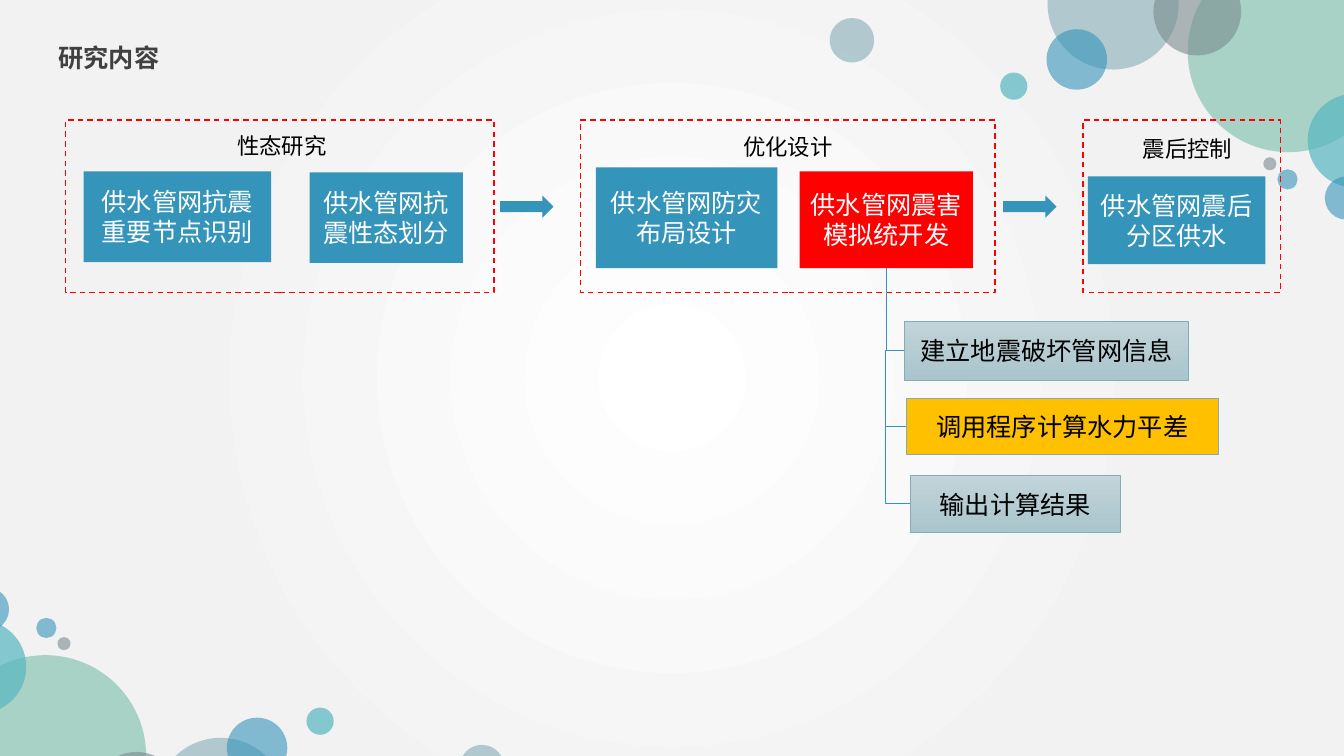
from pptx import Presentation, util as u
from pptx.dml.color import RGBColor
from pptx.enum import dml, shapes, text
from pptx.oxml import parse_xml
from pptx.oxml.ns import nsdecls, qn

PX = 9144
FONT = "Lato"
WHITE = RGBColor(0xFF, 0xFF, 0xFF)
BLACK = RGBColor(0, 0, 0)
DARK = RGBColor(0x40, 0x40, 0x40)
PALE = RGBColor(0xF2, 0xF2, 0xF2)
BLUE = RGBColor(0x34, 0x94, 0xBA)
TEAL = RGBColor(0x58, 0xB6, 0xC0)
GREEN = RGBColor(0x75, 0xBD, 0xA7)
GREY = RGBColor(0x7A, 0x8C, 0x8E)
MIST = RGBColor(0x84, 0xAC, 0xB6)
MIST_TOP = RGBColor(0xC1, 0xD4, 0xD9)
MIST_BOTTOM = RGBColor(0xAA, 0xC5, 0xCC)
RED = RGBColor(0xFF, 0, 0)
AMBER = RGBColor(0xFF, 0xC0, 0)

CIRCLES = [
    (1039, -61, 130, MIST, 60), (1178, -49, 200, GREEN, 60),
    (1144, -32, 87, GREY, 60), (1038, 29, 60, BLUE, 60),
    (1297, 93, 93, TEAL, 70), (992, 72, 27, TEAL, 70),
    (1314, 175, 43, BLUE, 60), (1267, 168, 20, BLUE, 60),
    (1253, 156, 13, GREY, 60), (823, 18, 44, MIST, 60),
]
STAGES = [
    (65, 425, "性态研究", (221, 123, 117, 43)),
    (576, 411, "优化设计", (726, 124, 111, 43)),
    (1074, 196, "震后控制", (1121, 126, 114, 43)),
]
TOPICS = [
    ((83, 170, 186, 90), "供水管网抗震重要节点识别", BLUE),
    ((307, 171, 152, 90), "供水管网抗震性态划分", BLUE),
    ((591, 166, 180, 100), "供水管网防灾布局设计", BLUE),
    ((793, 170, 172, 96), "供水管网震害模拟统开发", RED),
    ((1079, 175, 176, 87), "供水管网震后分区供水", BLUE),
]
STEPS = [
    ((897, 319, 282, 58), "建立地震破坏管网信息", None),
    ((899, 395, 309, 56), "调用程序计算水力平差", AMBER),
    ((903, 472, 208, 56), "输出计算结果", None),
]
TRUNK_X, TRUNK_TOP = 879, 266


def px(*values):
    return [u.Emu(v * PX) for v in values]


def write(sp, words, size=18, color=BLACK, bold=False,
          align=text.PP_ALIGN.CENTER, anchor=text.MSO_ANCHOR.MIDDLE):
    tf = sp.text_frame
    tf.word_wrap = True
    tf.auto_size = text.MSO_AUTO_SIZE.NONE
    tf.vertical_anchor = anchor
    p = tf.paragraphs[0]
    p.alignment = align
    r = p.add_run()
    r.text = words
    r.font.name, r.font.size, r.font.bold = FONT, u.Pt(size), bold
    r.font.color.rgb = color
    return p


def add_shape(s, kind, box, fill=None, line=None, width=1):
    sp = s.shapes.add_shape(kind, *px(*box))
    sp.shadow.inherit = False
    if fill is None:
        sp.fill.background()
    else:
        sp.fill.solid()
        sp.fill.fore_color.rgb = fill
    if line is None:
        sp.line.fill.background()
    else:
        sp.line.color.rgb = line
        sp.line.width = u.Pt(width)
    return sp


def add_background(s):
    stops = "".join(
        f'<a:gs pos="{pos}000"><a:srgbClr val="{color}"/></a:gs>'
        for pos, color in ((0, WHITE), (67, PALE), (100, PALE)))
    s.background.fill.solid()
    bg = s.element.find(".//" + qn("p:bgPr"))
    bg.replace(bg[0], parse_xml(
        f'<a:gradFill {nsdecls("a")} rotWithShape="1"><a:gsLst>{stops}</a:gsLst>'
        '<a:path path="circle"><a:fillToRect l="50000" t="50000" r="50000" '
        'b="50000"/></a:path></a:gradFill>'))


def add_circle(s, x, y, size, color, opacity):
    sp = add_shape(s, shapes.MSO_SHAPE.OVAL, (x, y, size, size), color)
    rgb = sp.element.spPr.find(qn("a:solidFill"))[0]
    rgb.append(parse_xml(f'<a:alpha {nsdecls("a")} val="{opacity}000"/>'))


def add_title(s, words):
    sp = s.shapes.title
    sp.left, sp.top, sp.width, sp.height = px(48, 28, 372, 44)
    p = write(sp, words, color=DARK, bold=True, align=text.PP_ALIGN.LEFT,
              anchor=text.MSO_ANCHOR.TOP)
    p.line_spacing = 1.3
    p.space_before = u.Pt(10)


def add_stage(s, x, width, label, label_box):
    sp = add_shape(s, shapes.MSO_SHAPE.RECTANGLE, (x, 119, width, 171), line=RED)
    sp.line.dash_style = dml.MSO_LINE.DASH
    write(s.shapes.add_textbox(*px(*label_box)), label, size=16)


def add_step(s, box, words, fill):
    sp = add_shape(s, shapes.MSO_SHAPE.RECTANGLE, box, fill, MIST, 0.5)
    if fill is None:
        sp.fill.gradient()
        sp.fill.gradient_angle = 270
        for stop, color in zip(sp.fill.gradient_stops, (MIST_TOP, MIST_BOTTOM)):
            stop.color.rgb = color
    write(sp, words)


def add_branch(s, top, x, y):
    across, down = x - TRUNK_X, y - top
    left = TRUNK_X + (across - down) // 2
    upper = top + (down - across) // 2
    c = s.shapes.add_connector(shapes.MSO_CONNECTOR.ELBOW,
                               *px(left, upper, left + down, upper + across))
    c.line.color.rgb = BLUE
    c.line.width = u.Pt(0.5)
    spPr = c.element.spPr
    xfrm = spPr.find(qn("a:xfrm"))
    xfrm.set("rot", "16200000")
    xfrm.set("flipH", "1")
    spPr.find(qn("a:prstGeom")).set("prst", "bentConnector2")
    spPr.append(parse_xml(f'<a:effectLst {nsdecls("a")}/>'))


def main():
    prs = Presentation()
    prs.slide_width, prs.slide_height = px(1333, 750)
    s = prs.slides.add_slide(prs.slide_layouts[5])
    add_background(s)
    for x, y, size, color, opacity in CIRCLES:
        add_circle(s, x, y, size, color, opacity)
    for x, y, size, color, opacity in CIRCLES:
        add_circle(s, 1323 - x - size, 801 - y - size, size, color, opacity)
    add_title(s, "研究内容")
    for stage in STAGES:
        add_stage(s, *stage)
    for box, words, fill in TOPICS:
        write(add_shape(s, shapes.MSO_SHAPE.RECTANGLE, box, fill), words, color=WHITE)
    for x in (496, 995):
        add_shape(s, shapes.MSO_SHAPE.RIGHT_ARROW, (x, 194, 53, 22), BLUE)
    top = TRUNK_TOP
    for box, words, fill in STEPS:
        add_step(s, box, words, fill)
        x, y, _, height = box
        middle = y + height // 2
        add_branch(s, top, x, middle)
        top = middle
    prs.save("out.pptx")


if __name__ == "__main__":
    main()
